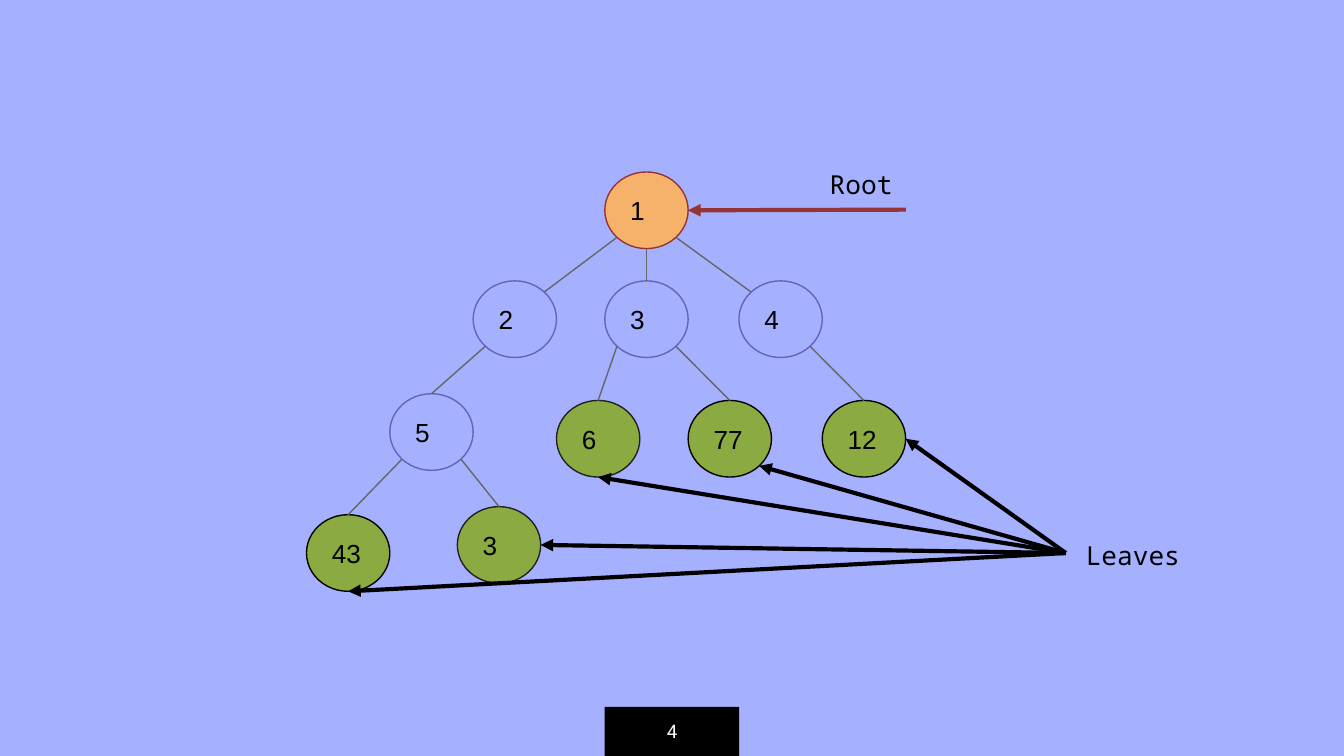
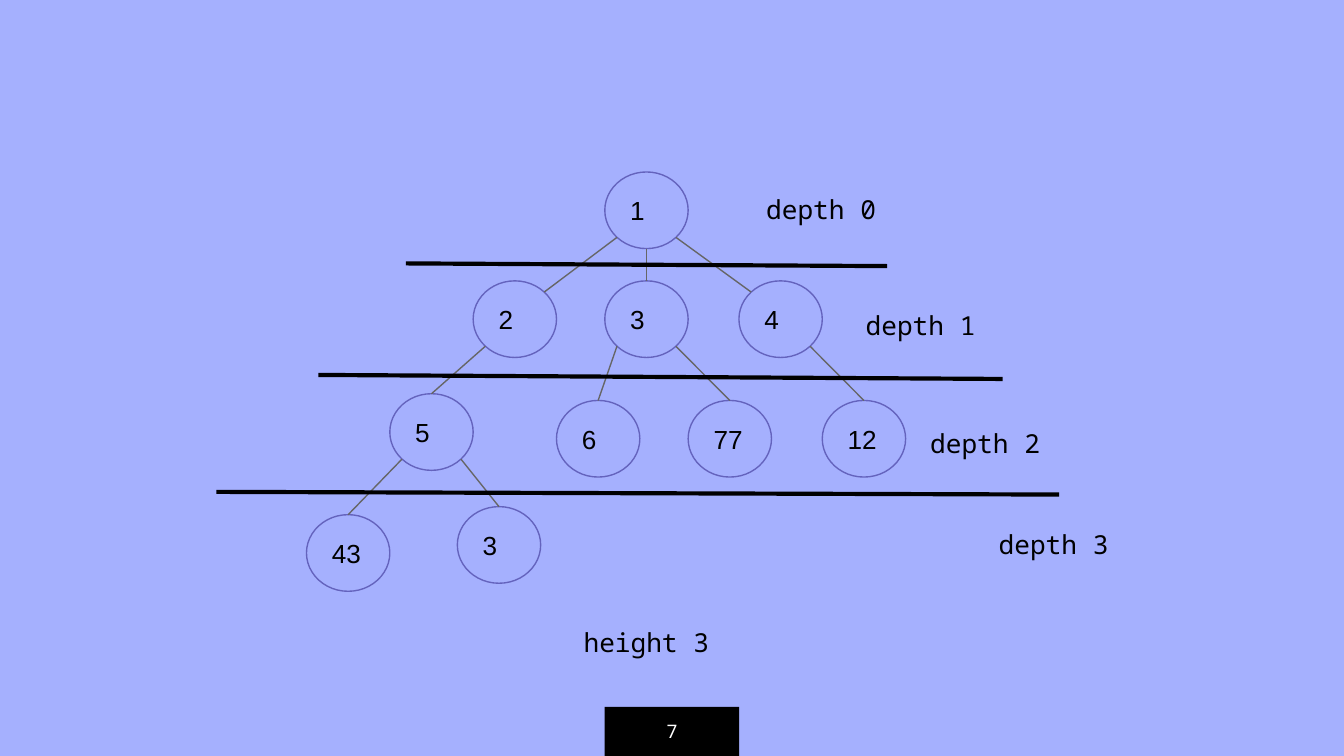
from lxml.etree import SubElement
from pptx import Presentation
from pptx.dml.color import RGBColor
from pptx.enum.shapes import MSO_CONNECTOR, MSO_SHAPE
from pptx.enum.text import MSO_ANCHOR, PP_ALIGN
from pptx.oxml.ns import qn
from pptx.util import Inches, Pt

WIDTH = 10
HEIGHT = WIDTH * 9 / 16
NODE_WIDTH, NODE_HEIGHT = 0.62, 0.57
ROOT_LEFT = 4.5
BAND_TOP = 5.26
BAND = (4.5, BAND_TOP, 1, HEIGHT - BAND_TOP)
INSET = 0.1
THIN, THICK = 0.75, 2.25

COLORS = {
    "page": "A5B0FE", "violet": "6463BD", "edge": "666666",
    "orange": "F6B26B", "red": "963334", "green": "8BAB42",
    "dark": "212121", "black": "000000", "white": "FFFFFF",
}
NODE_FONT = {"name": "Arial", "size": Pt(14), "color": "black"}
LABEL_FONT = {"name": "Noto Sans Mono", "size": Pt(14), "color": "black"}
BAND_FONT = {"name": "Roboto", "size": Pt(10), "color": "white"}

# Points on a node's outline, as shares of its width and height
DIAGONAL = 0.5 ** 0.5 / 2
SITES = {
    "top": (0.5, 0), "bottom": (0.5, 1), "right": (1, 0.5),
    "top left": (0.5 - DIAGONAL, 0.5 - DIAGONAL),
    "top right": (0.5 + DIAGONAL, 0.5 - DIAGONAL),
    "bottom left": (0.5 - DIAGONAL, 0.5 + DIAGONAL),
    "bottom right": (0.5 + DIAGONAL, 0.5 + DIAGONAL),
}

# name: (text, parent, shift from parent in node widths, top)
NODES = {
    "root": ("1", None, 0, 1.28),
    "two": ("2", "root", -1.58, 2.09),
    "three": ("3", "root", 0, 2.09),
    "four": ("4", "root", 1.61, 2.09),
    "five": ("5", "two", -1, 2.93),
    "six": ("6", "three", -0.58, 2.98),
    "seventy-seven": ("77", "three", 1, 2.98),
    "twelve": ("12", "four", 1, 2.98),
    "forty-three": ("43", "five", -1, 3.83),
    "last three": ("3", "five", 0.81, 3.77),
}
# Edges that reach their child elsewhere than at its top
CHILD_SITES = {"two": "top right", "four": "top left"}

# name: (fill, outline)
PLAIN_STYLE = ("page", "violet")
ROLE_STYLES = {
    "root": ("orange", "red"),
    "six": ("green", "dark"),
    "seventy-seven": ("green", "black"),
    "twelve": ("green", "black"),
    "forty-three": ("green", "black"),
    "last three": ("green", "dark"),
}
LEAF_ARROWS = [
    ("twelve", "right"), ("seventy-seven", "bottom right"), ("six", "bottom"),
    ("last three", "right"), ("forty-three", "bottom"),
]

DEPTH_LINES = [
    ((3.02, 1.96), (6.6, 1.98)),
    ((2.37, 2.79), (7.46, 2.82)),
    ((1.61, 3.66), (7.88, 3.68)),
]
DEPTH_LABELS = [
    ("depth 0", 5.5, 1.34), ("depth 1", 6.24, 2.2), ("depth 2", 6.72, 3.08),
    ("depth 3", 7.23, 3.83), ("height 3", 4.2, 4.56),
]


def color(name):
    return RGBColor.from_string(COLORS[name])


def write(box, text, font, align, anchor):
    frame = box.text_frame
    settings = {"word_wrap": True, "vertical_anchor": anchor}
    for side in ("left", "top", "right", "bottom"):
        settings[f"margin_{side}"] = Inches(INSET)
    for key, value in settings.items():
        setattr(frame, key, value)
    para = frame.paragraphs[0]
    para.alignment = align
    span = para.add_run()
    span.text = text
    for key in ("name", "size"):
        setattr(span.font, key, font[key])
    span.font.color.rgb = color(font["color"])


def add_label(page, text, area, align=PP_ALIGN.CENTER, font=LABEL_FONT, anchor=MSO_ANCHOR.TOP):
    box = page.shapes.add_textbox(*map(Inches, area))
    write(box, text, font, align, anchor)
    return box


def add_filled(page, preset, area, fill, outline=None):
    shape = page.shapes.add_shape(preset, *map(Inches, area))
    shape.shadow.inherit = False
    shape.fill.solid()
    shape.fill.fore_color.rgb = color(fill)
    if outline:
        shape.line.color.rgb = color(outline)
        shape.line.width = Pt(THIN)
    else:
        shape.line.fill.background()
    return shape


def add_line(page, start, end, tint, weight, arrow=False):
    line = page.shapes.add_connector(MSO_CONNECTOR.STRAIGHT, *map(Inches, (*start, *end)))
    line.line.color.rgb = color(tint)
    line.line.width = Pt(weight)
    properties = line.element.spPr
    if arrow:
        SubElement(properties.find(qn("a:ln")), qn("a:tailEnd"), type="triangle")
    SubElement(properties, qn("a:effectLst"))
    return line


def node_left(name):
    _, parent, shift, _ = NODES[name]
    return node_left(parent) + shift * NODE_WIDTH if parent else ROOT_LEFT


def site_point(name, site):
    across, down = SITES[site]
    return node_left(name) + across * NODE_WIDTH, NODES[name][3] + down * NODE_HEIGHT


def add_page(deck, number):
    page = deck.slides.add_slide(deck.slide_layouts[6])
    page.background.fill.solid()
    page.background.fill.fore_color.rgb = color("page")
    add_filled(page, MSO_SHAPE.RECTANGLE, BAND, "black")
    add_label(page, number, BAND, font=BAND_FONT, anchor=MSO_ANCHOR.MIDDLE)
    return page


def add_tree(page, styles):
    for name, (text, _, _, top) in NODES.items():
        area = (node_left(name), top, NODE_WIDTH, NODE_HEIGHT)
        node = add_filled(page, MSO_SHAPE.OVAL, area, *styles.get(name, PLAIN_STYLE))
        write(node, text, NODE_FONT, PP_ALIGN.LEFT, MSO_ANCHOR.MIDDLE)
    for name, (_, parent, shift, _) in NODES.items():
        if parent:
            side = " left" if shift < 0 else " right" if shift > 0 else ""
            start = site_point(parent, "bottom" + side)
            end = site_point(name, CHILD_SITES.get(name, "top"))
            add_line(page, start, end, "edge", THIN)


def add_roles_page(deck):
    page = add_page(deck, "4")
    add_tree(page, ROLE_STYLES)
    root_side = site_point("root", "right")
    add_line(page, (6.74, 1.56), root_side, "red", THICK, arrow=True)
    add_label(page, "Root", (5.74, 1.15, 1, 0.41), PP_ALIGN.RIGHT)
    leaves = add_label(page, "Leaves", (7.93, 3.91, 1, 0.41))
    for name, site in LEAF_ARROWS:
        arrow = add_line(page, (7.93, 4.11), site_point(name, site), "black", THICK, arrow=True)
        arrow.begin_connect(leaves, 1)


def add_depth_page(deck):
    page = add_page(deck, "7")
    add_tree(page, {})
    for start, end in DEPTH_LINES:
        add_line(page, start, end, "black", THICK)
    for text, left, top in DEPTH_LABELS:
        add_label(page, text, (left, top, 1.22, 0.37))


def main():
    deck = Presentation()
    deck.slide_width, deck.slide_height = Inches(WIDTH), Inches(HEIGHT)
    add_roles_page(deck)
    add_depth_page(deck)
    deck.save("out.pptx")


if __name__ == "__main__":
    main()
